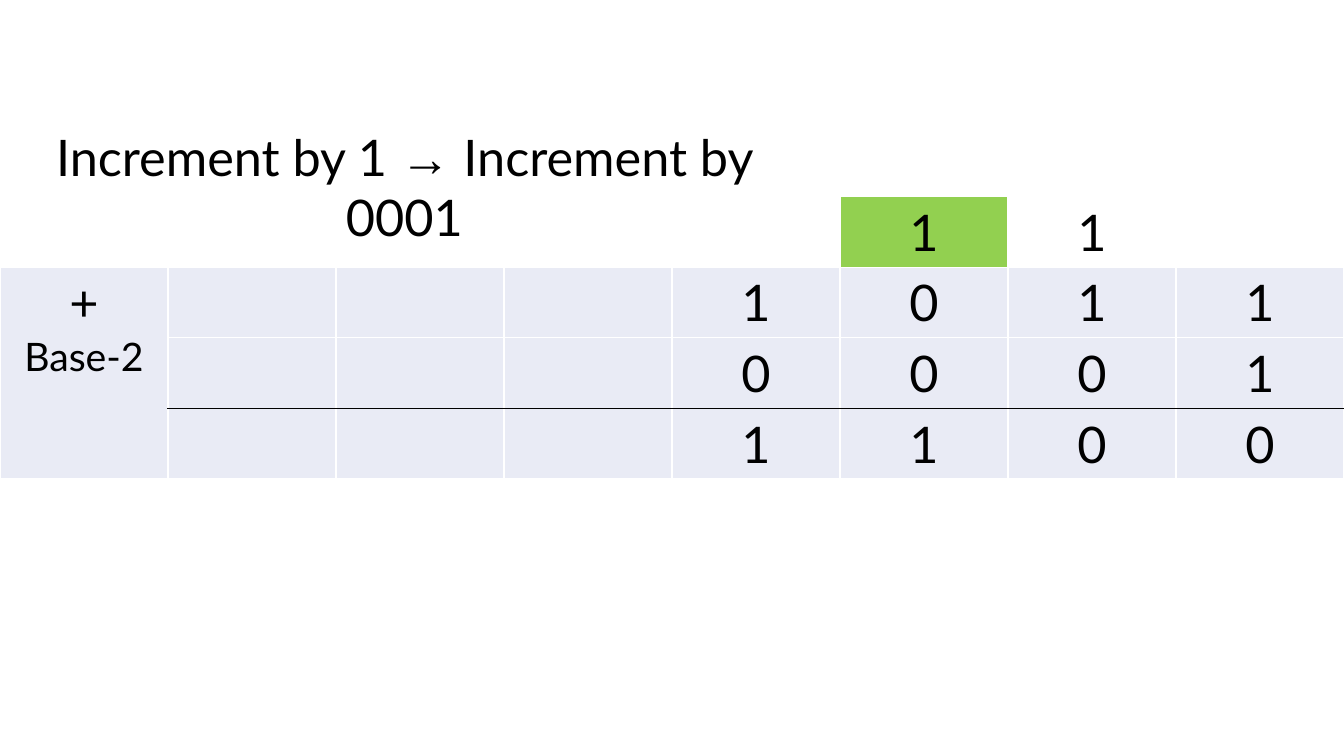
from lxml import etree
from pptx import Presentation
from pptx.dml.color import RGBColor
from pptx.enum.text import MSO_ANCHOR, MSO_AUTO_SIZE, PP_ALIGN
from pptx.oxml.ns import qn
from pptx.util import Inches, Pt

CENTER = PP_ALIGN.CENTER
TOP = MSO_ANCHOR.TOP
NO_AUTOFIT = MSO_AUTO_SIZE.NONE

COLORS = {"text": "000000", "grid": "FFFFFF", "band": "E9EBF5", "carry": "92D050"}
BODY_FONT, ARROW_FONT = "Lato", "Times New Roman"
TITLE_ONLY = 5
COLUMNS, ROW_HEIGHT = 8, 0.7
SUM_LINE_ROW = 3
CARRY_CELL = (0, 5)
DIGIT_ROWS = ["     11 ", "    1011", "    0001", "    1100"]


def add_text(paragraph, text, size=36, font=BODY_FONT, color="text"):
    paragraph.alignment = CENTER
    run = paragraph.add_run()
    run.text = text
    run.font.size = Pt(size)
    run.font.name = font
    run.font.color.rgb = RGBColor.from_string(COLORS[color])


def set_borders(cell, top, bottom):
    properties = cell._tc.get_or_add_tcPr()
    sides = {"lnL": "grid", "lnR": "grid", "lnT": top, "lnB": bottom}
    for tag, color in sides.items():
        line = etree.SubElement(properties, qn(f"a:{tag}"), w=str(Pt(1)))
        fill = etree.SubElement(line, qn("a:solidFill"))
        etree.SubElement(fill, qn("a:srgbClr"), val=COLORS[color])


def set_fill(cell, color):
    if color is None:
        cell.fill.background()
    else:
        cell.fill.solid()
        cell.fill.fore_color.rgb = RGBColor.from_string(COLORS[color])


def place_title(slide, left, top, width, height):
    title = slide.shapes.title
    title.left, title.top = Inches(left), Inches(top)
    title.width, title.height = Inches(width), Inches(height)
    frame = title.text_frame
    frame.word_wrap = True
    frame.auto_size = NO_AUTOFIT
    frame.vertical_anchor = TOP
    paragraph = frame.paragraphs[0]
    add_text(paragraph, "Increment by 1 ")
    add_text(paragraph, "→", font=ARROW_FONT)
    add_text(paragraph, " Increment by 0001")


def add_addition_table(slide, left, top, width):
    row_count = len(DIGIT_ROWS)
    frame = slide.shapes.add_table(
        row_count, COLUMNS, Inches(left), Inches(top),
        Inches(width), Inches(row_count * ROW_HEIGHT))
    table = frame.table
    table.first_row = table.horz_banding = False

    for row, digits in enumerate(DIGIT_ROWS):
        for column, digit in enumerate(digits):
            cell = table.cell(row, column)
            above_line = column > 0 and row == SUM_LINE_ROW - 1
            below_line = column > 0 and row == SUM_LINE_ROW
            set_borders(cell, "text" if below_line else "grid",
                        "text" if above_line else "grid")
            if (row, column) == CARRY_CELL:
                set_fill(cell, "carry")
            else:
                set_fill(cell, "band" if row else None)
            if digit.strip():
                add_text(cell.text_frame.paragraphs[0], digit)

    operator = table.cell(1, 0)
    operator.merge(table.cell(row_count - 1, 0))
    add_text(operator.text_frame.paragraphs[0], "+")
    add_text(operator.text_frame.add_paragraph(), "Base-2", size=28)


def main():
    presentation = Presentation()
    presentation.slide_width, presentation.slide_height = Inches(13.33), Inches(7.5)
    slide = presentation.slides.add_slide(presentation.slide_layouts[TITLE_ONLY])
    place_title(slide, 0, 1.2, 8.02, 0.71)
    add_addition_table(slide, 0, 1.95, 13.33)
    presentation.save("out.pptx")


if __name__ == "__main__":
    main()
